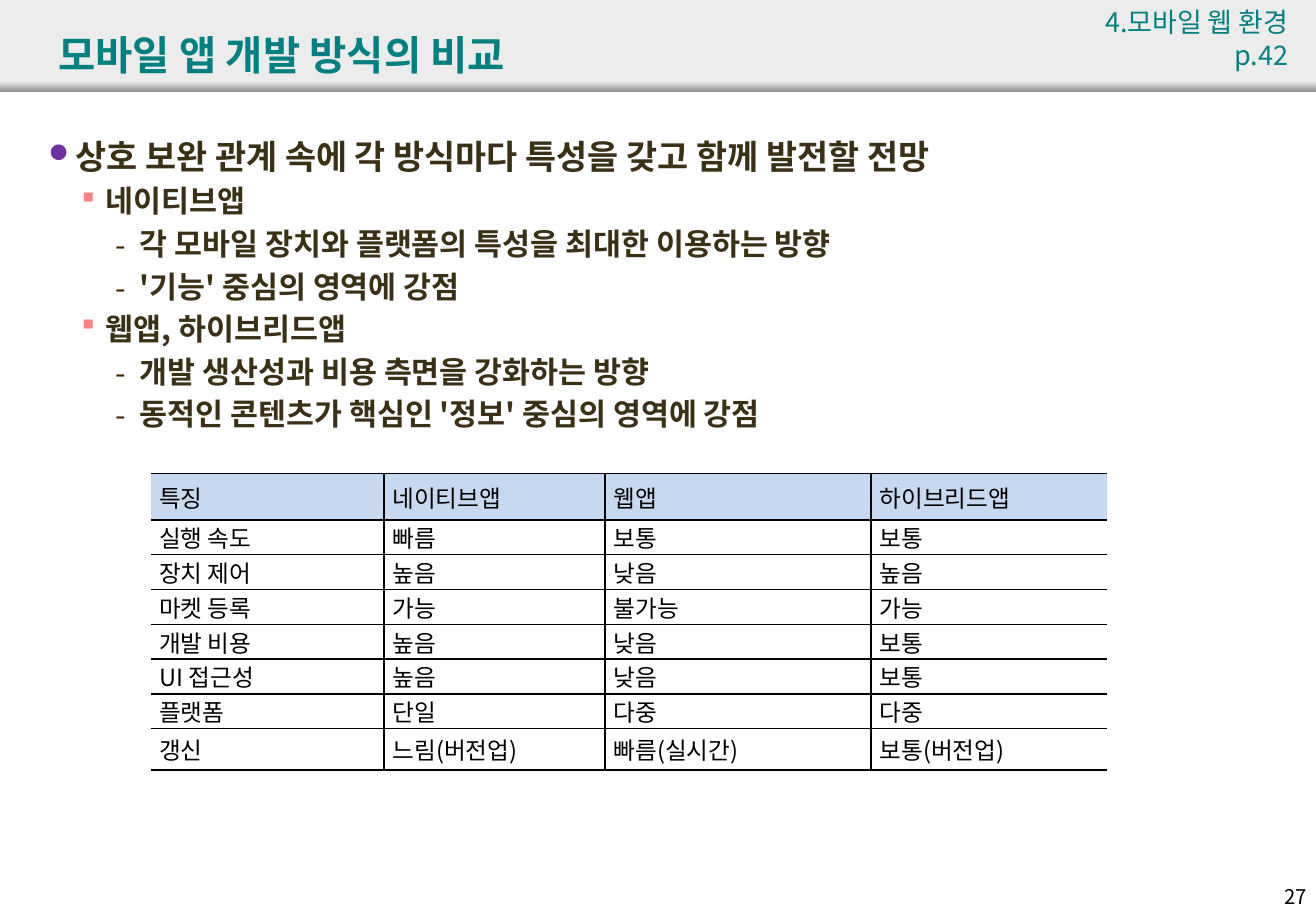
from lxml.etree import SubElement
from pptx import Presentation
from pptx.dml.color import RGBColor
from pptx.enum.shapes import MSO_SHAPE
from pptx.enum.text import MSO_ANCHOR, MSO_AUTO_SIZE, PP_ALIGN
from pptx.oxml.ns import qn
from pptx.util import Inches, Pt

FONT = "Noto Sans CJK KR"
COLORS = {
    "teal": "008080", "brown": "3A3016", "black": "000000",
    "band": "ECECEC", "edge": "979797", "head": "C6D9F1",
    "dot": "7030A0", "square": "FF8080", "dash": "3D2505",
}
# Per level: indent, size, bullet, bullet font, bullet colour, bullet percent
LEVELS = [
    (0.2, 20, "l", "Wingdings", "dot", 80),
    (0.47, 18, "§", "Wingdings", "square", 100),
    (0.75, 18, "-", FONT, "dash", 100),
]
POINTS = [
    (0, "상호 보완 관계 속에 각 방식마다 특성을 갖고 함께 발전할 전망"),
    (1, "네이티브앱"),
    (2, "각 모바일 장치와 플랫폼의 특성을 최대한 이용하는 방향"),
    (2, "'기능' 중심의 영역에 강점"),
    (1, "웹앱, 하이브리드앱"),
    (2, "개발 생산성과 비용 측면을 강화하는 방향"),
    (2, "동적인 콘텐츠가 핵심인 '정보' 중심의 영역에 강점"),
]
ROWS = [
    ("특징", "네이티브앱", "웹앱", "하이브리드앱"),
    ("실행 속도", "빠름", "보통", "보통"),
    ("장치 제어", "높음", "낮음", "높음"),
    ("마켓 등록", "가능", "불가능", "가능"),
    ("개발 비용", "높음", "낮음", "보통"),
    ("UI 접근성", "높음", "낮음", "보통"),
    ("플랫폼", "단일", "다중", "다중"),
    ("갱신", "느림(버전업)", "빠름(실시간)", "보통(버전업)"),
]
WIDTHS = [1.92, 1.82, 2.19, 1.94]
TALL, FIRST, LAST = 2.44, 0.38, 0.34
INNER = len(ROWS) - 2
HEIGHTS = [FIRST] + [(TALL - FIRST - LAST) / INNER] * INNER + [LAST]


def rgb(name):
    return RGBColor.from_string(COLORS[name])


def add_run(para, text, size, color, bold=False):
    run = para.add_run()
    run.text = text
    font = run.font
    font.size, font.bold, font.name = Pt(size), bold, FONT
    font.color.rgb = rgb(color)
    SubElement(font._element, qn("a:ea"), typeface=FONT)


def place(shape, left, top, width, height):
    shape.left, shape.top = Inches(left), Inches(top)
    shape.width, shape.height = Inches(width), Inches(height)


def add_bar(slide, top, height):
    bar = slide.shapes.add_shape(MSO_SHAPE.RECTANGLE, 0, Inches(top),
                                 Inches(10.83), Inches(height))
    bar.shadow.inherit = False
    bar.line.fill.background()
    return bar


def add_band(slide):
    band = add_bar(slide, 0, 0.75)
    band.fill.solid()
    band.fill.fore_color.rgb = rgb("band")
    fill = add_bar(slide, 0.67, 0.08).fill
    fill.gradient()
    fill.gradient_angle = 270
    for stop, name in zip(fill.gradient_stops, ("band", "edge")):
        stop.color.rgb = rgb(name)


def add_label(slide, text, box, size, color):
    label = slide.shapes.add_textbox(*map(Inches, box))
    label.text_frame.word_wrap = True
    para = label.text_frame.paragraphs[0]
    para.alignment = PP_ALIGN.RIGHT
    add_run(para, text, size, color)


def set_title(slide, text):
    title = slide.shapes.title
    place(title, 0.38, 0.13, 9.92, 0.63)
    frame = title.text_frame
    frame.auto_size = MSO_AUTO_SIZE.NONE
    frame.vertical_anchor = MSO_ANCHOR.MIDDLE
    para = frame.paragraphs[0]
    para.alignment = PP_ALIGN.LEFT
    add_run(para, text, 24, "teal", True)


def set_bullet(para, indent, char, face, color, percent):
    props = para._p.get_or_add_pPr()
    props.set("marL", str(Inches(indent)))
    props.set("indent", str(Inches(-0.2)))
    tint = SubElement(props, qn("a:buClr"))
    SubElement(tint, qn("a:srgbClr"), val=COLORS[color])
    SubElement(props, qn("a:buSzPct"), val=str(percent * 1000))
    SubElement(props, qn("a:buFont"), typeface=face)
    SubElement(props, qn("a:buChar"), char=char)


def set_body(slide):
    body = slide.placeholders[1]
    place(body, 0.3, 1.07, 10.32, 6.22)
    frame = body.text_frame
    frame.auto_size = MSO_AUTO_SIZE.NONE
    for i, (level, text) in enumerate(POINTS):
        para = frame.add_paragraph() if i else frame.paragraphs[0]
        indent, size, *bullet = LEVELS[level]
        para.level = level
        para.space_before = Pt(size * 0.2)
        set_bullet(para, indent, *bullet)
        add_run(para, text, size, "brown", True)


def set_edge(cell, side, shown):
    line = SubElement(cell._tc.get_or_add_tcPr(), qn(f"a:ln{side}"),
                      w=str(Pt(1)))
    if shown:
        fill = SubElement(line, qn("a:solidFill"))
        SubElement(fill, qn("a:srgbClr"), val=COLORS["black"])
    else:
        SubElement(line, qn("a:noFill"))


def fill_cell(cell, text, head, edges):
    cell.vertical_anchor = MSO_ANCHOR.MIDDLE
    cell.margin_left = cell.margin_right = Inches(0.07)
    cell.margin_top = cell.margin_bottom = 0
    for side, shown in edges.items():
        set_edge(cell, side, shown)
    if head:
        cell.fill.solid()
        cell.fill.fore_color.rgb = rgb("head")
    else:
        cell.fill.background()
    para = cell.text_frame.paragraphs[0]
    para.alignment = PP_ALIGN.JUSTIFY
    add_run(para, text, 14, "black")


def add_grid(slide):
    box = (1.24, 3.9, sum(WIDTHS), TALL)
    frame = slide.shapes.add_table(len(ROWS), len(WIDTHS), *map(Inches, box))
    table = frame.table
    table.first_row = table.horz_banding = False
    for col, width in zip(table.columns, WIDTHS):
        col.width = Inches(width)
    for row, height in zip(table.rows, HEIGHTS):
        row.height = Inches(height)
    last = len(WIDTHS) - 1
    for r, texts in enumerate(ROWS):
        for c, text in enumerate(texts):
            edges = {"L": c > 0, "R": c < last, "T": True, "B": True}
            fill_cell(table.cell(r, c), text, r == 0, edges)


def main():
    deck = Presentation()
    deck.slide_width, deck.slide_height = Inches(10.83), Inches(7.5)
    slide = deck.slides.add_slide(deck.slide_layouts[1])
    add_band(slide)
    # Bring the title in front of the band
    tree = slide.shapes._spTree
    tree.append(slide.shapes.title._element)
    set_title(slide, "모바일 앱 개발 방식의 비교")
    set_body(slide)
    add_grid(slide)
    add_label(slide, "4.모바일 웹 환경 p.42", (8.99, 0, 1.71, 0.37), 16, "teal")
    add_label(slide, "27", (10.3, 7.23, 0.55, 0.3), 12, "black")
    deck.save("out.pptx")


if __name__ == "__main__":
    main()
